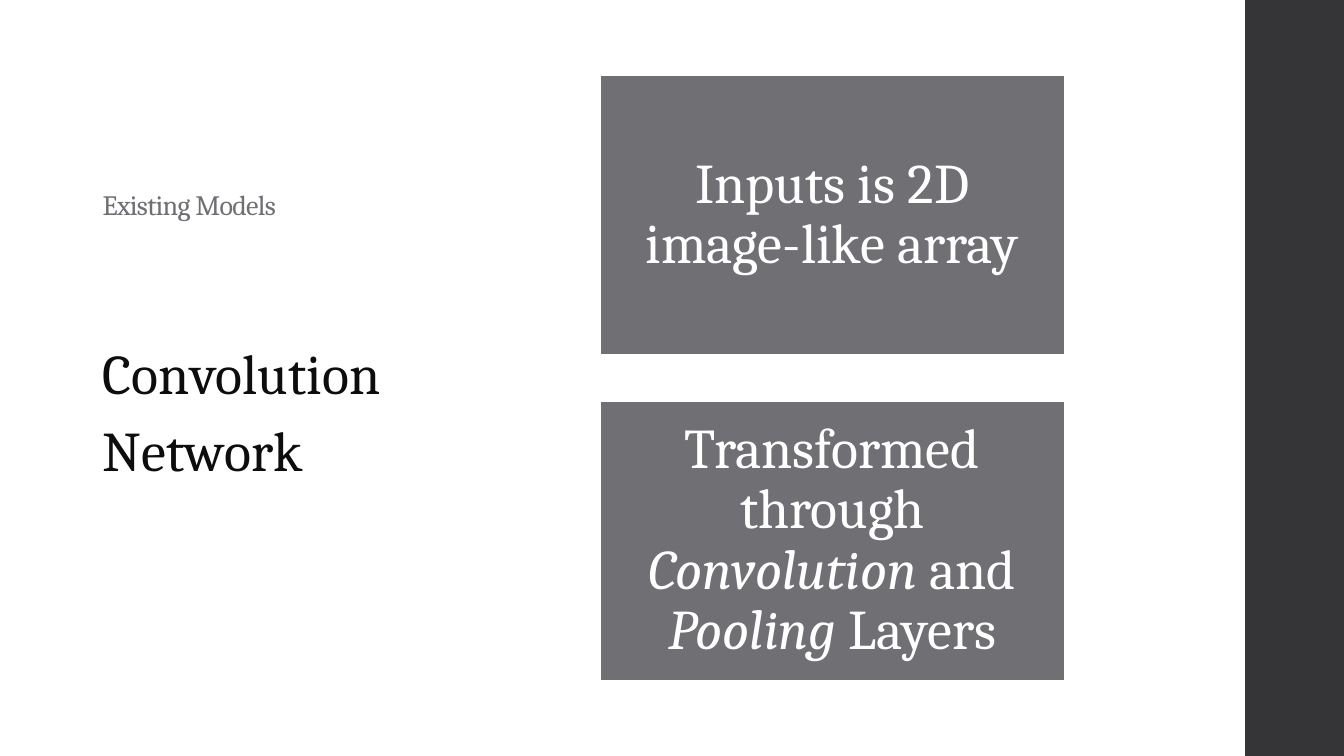
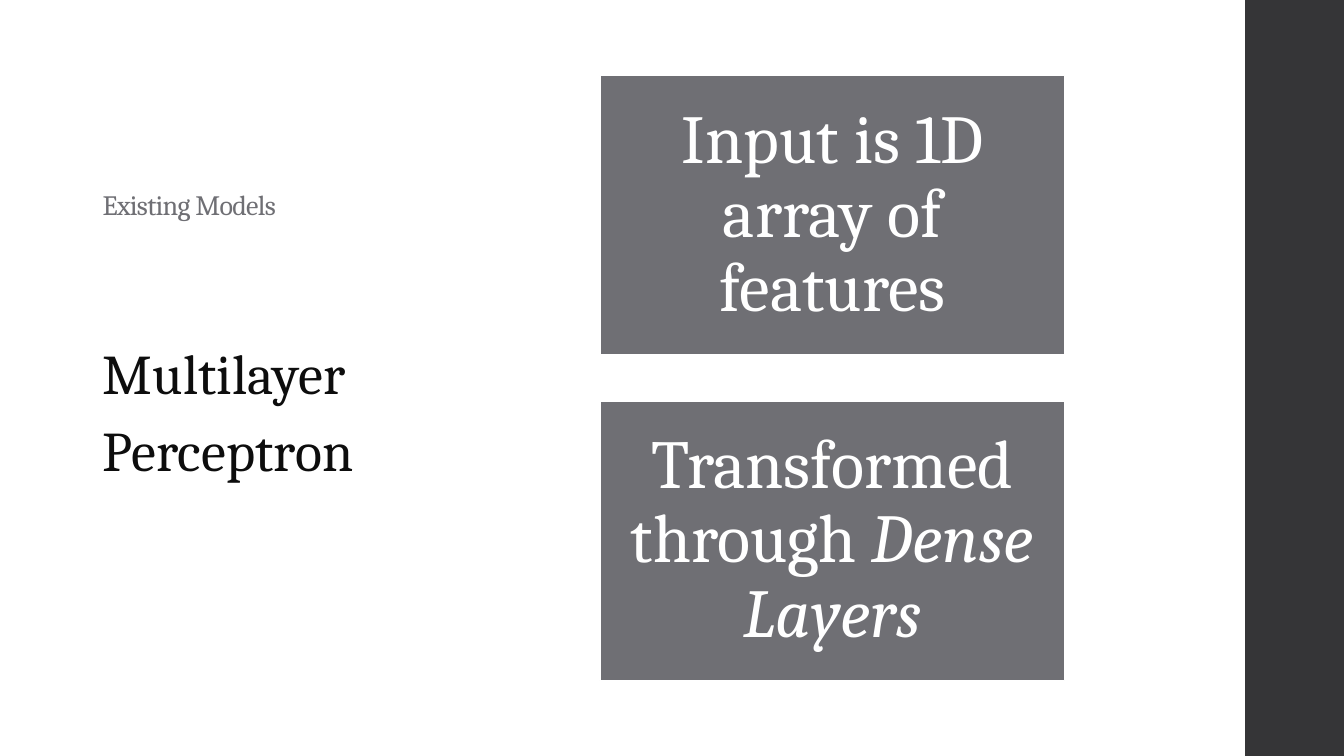
from pptx import Presentation
from pptx.dml.color import RGBColor
from pptx.enum import shapes, text
from pptx.util import Inches, Pt

FONT = "Cambria"
WHITE = RGBColor(0xFF, 0xFF, 0xFF)
GRAY = RGBColor(0x6F, 0x6F, 0x74)
CHARCOAL = RGBColor(0x35, 0x35, 0x37)
INK = RGBColor(0x0D, 0x0D, 0x0D)

SLIDE_WIDTH, SLIDE_HEIGHT = 13.33, 7.5
BAND_LEFT = 12.35
TEXT_LEFT, TEXT_WIDTH = 0.92, 3.5
CARD_LEFT, CARD_TOP, CARD_WIDTH, CARD_HEIGHT = 5.95, 0.75, 4.61, 2.77
CARD_GAP = 0.46

# Each card is a list of (words, italic) spans.
MODELS = [
    {
        "name": "Convolution Network",
        "size": 40,
        "inset": 0.17,
        "cards": [
            [("Inputs is 2D image-like array", False)],
            [("Transformed through ", False), ("Convolution ", True),
             ("and ", False), ("Pooling", True), (" Layers", False)],
        ],
    },
    {
        "name": "Multilayer Perceptron",
        "size": 49,
        "inset": 0.2,
        "cards": [
            [("Input is 1D array of features", False)],
            [("Transformed through ", False), ("Dense Layers", True)],
        ],
    },
]


def add_rectangle(page, left, top, width, height, fill):
    box = page.shapes.add_shape(
        shapes.MSO_SHAPE.RECTANGLE,
        Inches(left), Inches(top), Inches(width), Inches(height))
    box.shadow.inherit = False
    box.fill.solid()
    box.fill.fore_color.rgb = fill
    box.line.fill.background()
    return box


def style_paragraph(para, size, color, line_spacing):
    para.font.name = FONT
    para.font.size = Pt(size)
    para.font.color.rgb = color
    para.line_spacing = line_spacing


def add_label(page, words, top, height, size, color, line_spacing, tracking,
              anchor=text.MSO_ANCHOR.TOP):
    """Add left-column text; tracking is in hundredths of a point."""
    box = page.shapes.add_textbox(
        Inches(TEXT_LEFT), Inches(top), Inches(TEXT_WIDTH), Inches(height))
    frame = box.text_frame
    frame.word_wrap = True
    frame.vertical_anchor = anchor
    para = frame.paragraphs[0]
    style_paragraph(para, size, color, line_spacing)
    span = para.add_run()
    span.text = words
    span._r.get_or_add_rPr().set("spc", str(tracking))


def add_card(page, top, spans, size, inset):
    box = add_rectangle(page, CARD_LEFT, top, CARD_WIDTH, CARD_HEIGHT, GRAY)
    box.line.color.rgb = WHITE
    box.line.width = Pt(1.1)
    frame = box.text_frame
    frame.word_wrap = True
    frame.vertical_anchor = text.MSO_ANCHOR.MIDDLE
    frame.margin_left = frame.margin_right = Inches(inset)
    frame.margin_top = frame.margin_bottom = Inches(inset)
    para = frame.paragraphs[0]
    para.alignment = text.PP_ALIGN.CENTER
    style_paragraph(para, size, WHITE, 0.9)
    for words, italic in spans:
        span = para.add_run()
        span.text = words
        span.font.italic = italic


def add_model_page(deck, model):
    page = deck.slides.add_slide(deck.slide_layouts[6])
    add_rectangle(page, BAND_LEFT, 0, SLIDE_WIDTH - BAND_LEFT, SLIDE_HEIGHT,
                  CHARCOAL)
    add_label(page, "Existing Models", 0.5, 1.75, 20, GRAY, 0.9, -50,
              text.MSO_ANCHOR.BOTTOM)
    for row, spans in enumerate(model["cards"]):
        top = CARD_TOP + row * (CARD_HEIGHT + CARD_GAP)
        add_card(page, top, spans, model["size"], model["inset"])
    add_label(page, model["name"], 3.22, 3.25, 40, INK, 1.14, 10)


def main():
    deck = Presentation()
    deck.slide_width = Inches(SLIDE_WIDTH)
    deck.slide_height = Inches(SLIDE_HEIGHT)
    for model in MODELS:
        add_model_page(deck, model)
    deck.save("out.pptx")


if __name__ == "__main__":
    main()
